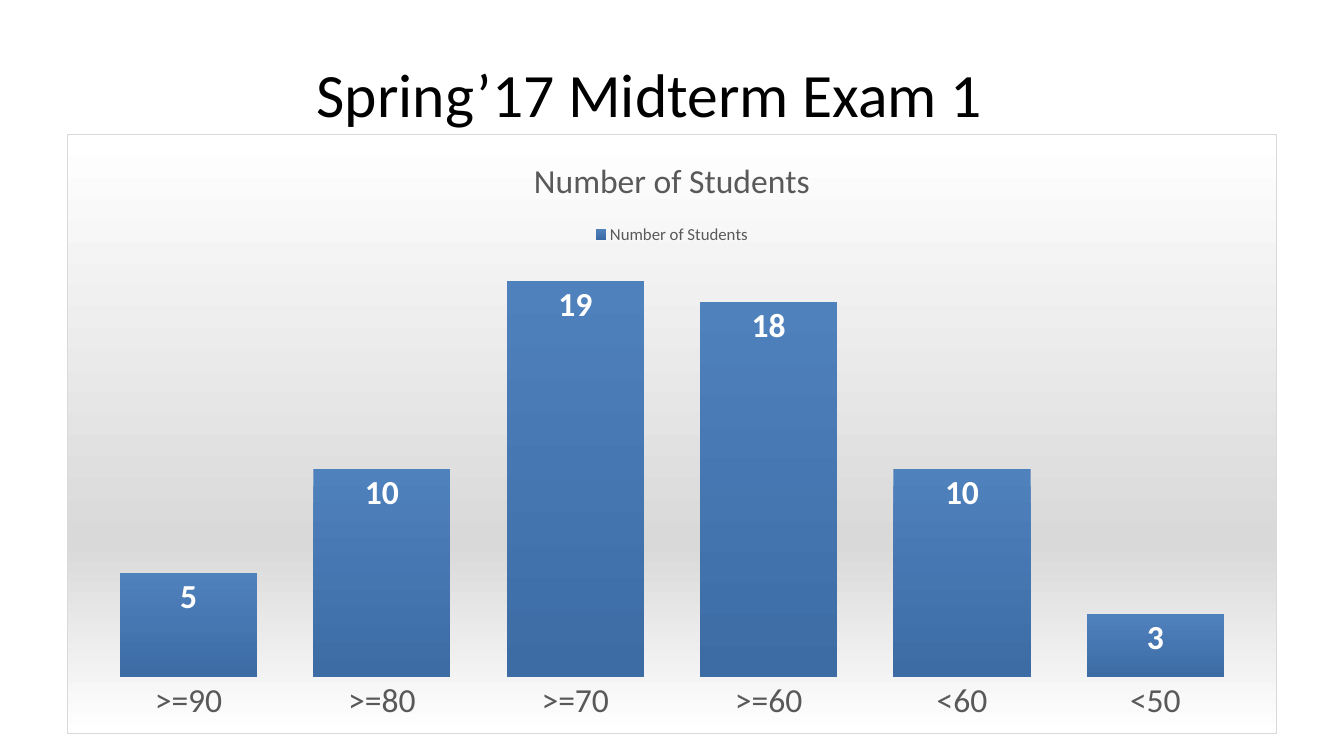
from lxml import etree
from pptx import Presentation
from pptx.chart.data import CategoryChartData
from pptx.dml.color import RGBColor
from pptx.enum.chart import XL_CHART_TYPE as ChartType
from pptx.enum.chart import XL_LABEL_POSITION as LabelPosition
from pptx.enum.chart import XL_LEGEND_POSITION as LegendPosition
from pptx.enum.chart import XL_TICK_LABEL_POSITION as TickLabelPosition
from pptx.enum.chart import XL_TICK_MARK as TickMark
from pptx.enum.text import MSO_ANCHOR as Anchor
from pptx.enum.text import PP_ALIGN as Align
from pptx.oxml import parse_xml
from pptx.oxml.ns import nsdecls, qn
from pptx.util import Pt

BLACK = RGBColor(0x00, 0x00, 0x00)
WHITE = RGBColor(0xFF, 0xFF, 0xFF)
TEXT_GRAY = RGBColor(0x59, 0x59, 0x59)
LIGHT_GRAY = RGBColor(0xD9, 0xD9, 0xD9)
BAR_TOP = RGBColor(0x4F, 0x81, 0xBD)
BAR_BOTTOM = RGBColor(0x3D, 0x6C, 0xA4)

FONT = "Calibri"
SERIES_NAME = "Number of Students"
GRADES = {">=90": 5, ">=80": 10, ">=70": 19, ">=60": 18, "<60": 10, "<50": 3}
BACKGROUND_STOPS = [(0, WHITE), (68, LIGHT_GRAY), (100, WHITE)]


def format_font(font, size, color, bold=False, name=None):
    font.size = Pt(size)
    font.color.rgb = color
    font.bold = bold
    if name:
        font.name = name


def add_title(slide, text):
    title = slide.shapes.title
    title.left, title.top, title.width, title.height = Pt(48), Pt(21.6), Pt(832.5), Pt(90)
    text_frame = title.text_frame
    text_frame.text = text
    text_frame.vertical_anchor = Anchor.MIDDLE
    paragraph = text_frame.paragraphs[0]
    paragraph.alignment = Align.CENTER
    format_font(paragraph.runs[0].font, 44, BLACK, name=FONT)


def set_chart_background(chart, stops, border_color, border_width):
    """Give the whole chart area a vertical gradient and a border."""
    stops_xml = "".join(
        f'<a:gs pos="{percent * 1000}"><a:srgbClr val="{color}"/></a:gs>'
        for percent, color in stops
    )
    properties = parse_xml(
        f'<c:spPr {nsdecls("c", "a")}>'
        f'<a:gradFill><a:gsLst>{stops_xml}</a:gsLst><a:lin ang="5400000" scaled="0"/></a:gradFill>'
        f'<a:ln w="{Pt(border_width)}"><a:solidFill><a:srgbClr val="{border_color}"/></a:solidFill></a:ln>'
        "</c:spPr>"
    )
    chart.element.find(qn("c:chart")).addnext(properties)


def format_bars(plot):
    plot.gap_width = 41
    plot.vary_by_categories = False
    fill = plot.series[0].format.fill
    fill.gradient()
    fill.gradient_angle = 270
    for stop, color in zip(fill.gradient_stops, (BAR_TOP, BAR_BOTTOM)):
        stop.color.rgb = color
    labels = plot.series[0].data_labels
    labels.show_value = True
    labels.position = LabelPosition.INSIDE_END
    format_font(labels.font, 24, WHITE, bold=True, name=FONT)


def format_axes(chart):
    category_axis = chart.category_axis
    category_axis.major_tick_mark = TickMark.NONE
    category_axis.tick_label_position = TickLabelPosition.NEXT_TO_AXIS
    category_axis.format.line.fill.background()
    format_font(category_axis.tick_labels.font, 24, TEXT_GRAY)
    value_axis = chart.value_axis
    value_axis.minimum_scale, value_axis.maximum_scale = 0, 20
    value_axis.has_major_gridlines = False
    value_axis.visible = False


def add_grade_chart(slide):
    data = CategoryChartData()
    data.categories = GRADES.keys()
    data.add_series(SERIES_NAME, GRADES.values())
    chart = slide.shapes.add_chart(
        ChartType.COLUMN_CLUSTERED, Pt(48), Pt(96), Pt(864), Pt(428.4), data
    ).chart
    format_font(chart.font, 10, BLACK)
    set_chart_background(chart, BACKGROUND_STOPS, LIGHT_GRAY, 0.75)

    chart.has_title = True
    title_frame = chart.chart_title.text_frame
    title_frame.text = SERIES_NAME
    format_font(title_frame.paragraphs[0].runs[0].font, 24, TEXT_GRAY, name=FONT)
    chart.chart_title.include_in_layout = False

    chart.has_legend = True
    chart.legend.position = LegendPosition.TOP
    chart.legend.include_in_layout = False
    format_font(chart.legend.font, 12, TEXT_GRAY)

    format_bars(chart.plots[0])
    format_axes(chart)


def main():
    presentation = Presentation()
    presentation.slide_width, presentation.slide_height = Pt(960), Pt(540)
    slide = presentation.slides.add_slide(presentation.slide_layouts[5])
    add_title(slide, "Spring’17 Midterm Exam 1")
    add_grade_chart(slide)
    presentation.save("out.pptx")


if __name__ == "__main__":
    main()
